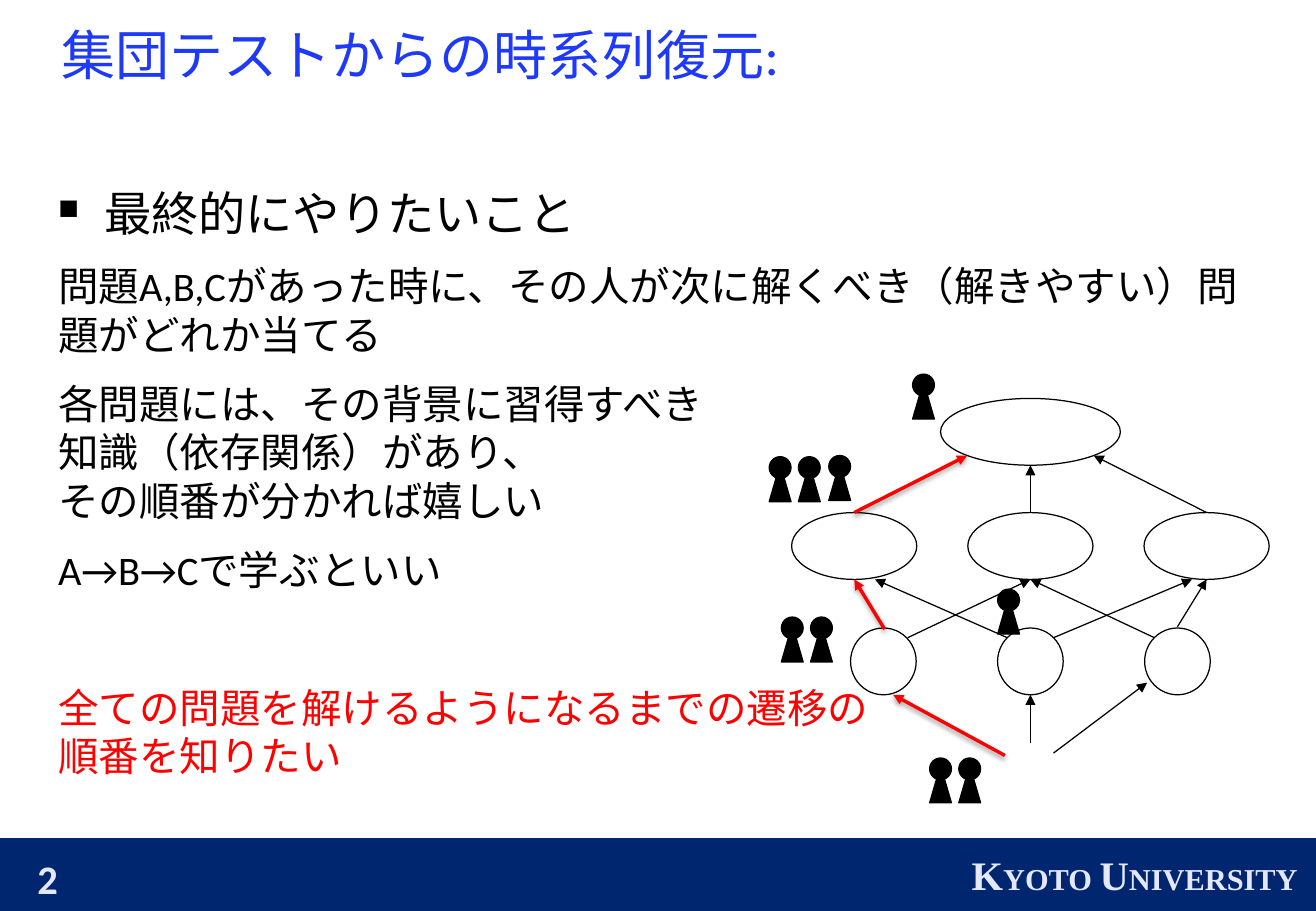
"""Build the slide on recovering a learning order from group tests."""
from lxml.etree import SubElement
from pptx import Presentation
from pptx.dml.color import RGBColor
from pptx.enum.shapes import MSO_CONNECTOR as Connector, MSO_SHAPE as Shape
from pptx.enum.text import MSO_ANCHOR as Anchor, PP_ALIGN as Align
from pptx.oxml.ns import qn
from pptx.util import Inches, Pt

BLACK = RGBColor(0, 0, 0)
WHITE = RGBColor(255, 255, 255)
RED = RGBColor(255, 0, 0)
NAVY = RGBColor(0x00, 0x26, 0x6F)
TITLE_BLUE = RGBColor(0x1E, 0x3A, 0xF8)
PALE = RGBColor(0xE4, 0xE7, 0xFE)

TITLE = "集団テストからの時系列復元:"
HEADING = "最終的にやりたいこと"
BODY = [
    (["問題A,B,Cがあった時に、その人が次に解くべき（解きやすい）問題がどれか当てる"], BLACK, 8.4),
    (["各問題には、その背景に習得すべき", "知識（依存関係）があり、", "その順番が分かれば嬉しい"], BLACK, 8.4),
    (["A→B→Cで学ぶといい"], BLACK, 8.4),
    (["全ての問題を解けるようになるまでの遷移の", "順番を知りたい"], RED, 49.2),
]
UNIVERSITY = [("K", 24), ("YOTO ", 18), ("U", 24), ("NIVERSITY", 18)]

CENTER_X = 8.48
NODE_HEIGHT = 0.55
NODE_ROWS = [
    (3.28, 1.48, [0]),
    (4.22, 1.03, [-1.45, 0, 1.45]),
    (5.17, 0.54, [-1.21, 0, 1.21]),
]
THIN_ARROWS = [
    (8.48, 6.12, 8.48, 5.72), (8.67, 6.2, 9.44, 5.62),
    (8.29, 5.25, 7.2, 4.77), (8.48, 4.22, 8.48, 3.83),
    (9.69, 5.16, 9.93, 4.77), (8.67, 5.25, 9.81, 4.77),
    (7.47, 5.25, 8.48, 4.77), (9.5, 5.25, 8.48, 4.77),
    (9.93, 4.22, 9, 3.75),
]
RED_PATH = [(8.27, 6.22, 7.35, 5.72), (7.28, 5.18, 7.03, 4.77), (7.03, 4.22, 7.96, 3.75)]
PEOPLE = [
    (7.51, 3.08), (6.33, 3.76), (6.57, 3.76), (6.82, 3.75), (6.43, 5.08),
    (6.67, 5.08), (8.21, 4.85), (7.65, 6.24), (7.89, 6.24),
]

deck = Presentation()
deck.slide_width, deck.slide_height = Inches(10.83), Inches(7.5)
page = deck.slides.add_slide(deck.slide_layouts[6])


def add_figure(kind, left, top, width, height, fill=None, line=BLACK):
    figure = page.shapes.add_shape(kind, Inches(left), Inches(top), Inches(width), Inches(height))
    figure.shadow.inherit = False
    if fill is None:
        figure.fill.background()
    else:
        figure.fill.solid()
        figure.fill.fore_color.rgb = fill
    if line is None:
        figure.line.fill.background()
    else:
        figure.line.color.rgb = line
        figure.line.width = Pt(0.75)


def add_line(ends, color, width, arrow=True, shadow=None):
    line = page.shapes.add_connector(Connector.STRAIGHT, *[Inches(value) for value in ends])
    line.line.color.rgb = color
    line.line.width = Pt(width)
    if arrow:
        SubElement(line.line._get_or_add_ln(), qn("a:tailEnd"), type="triangle")
    effects = SubElement(line._element.spPr, qn("a:effectLst"))
    if shadow:
        blur, distance, degrees, percent = shadow
        outer = SubElement(effects, qn("a:outerShdw"), blurRad=str(Pt(blur)), dist=str(Pt(distance)),
                           dir=str(degrees * 60000), rotWithShape="0")
        tint = SubElement(outer, qn("a:srgbClr"), val="000000")
        SubElement(tint, qn("a:alpha"), val=str(percent * 1000))


def add_text_box(left, top, width, height):
    frame = page.shapes.add_textbox(Inches(left), Inches(top), Inches(width), Inches(height)).text_frame
    frame.word_wrap = True
    return frame


def add_span(para, text, size, color, name="Calibri", bold=False):
    span = para.add_run()
    span.text = text
    span.font.size = Pt(size)
    span.font.name = name
    span.font.bold = bold
    span.font.color.rgb = color


add_line((0.22, 1.28, 10.53, 1.28), WHITE, 1, arrow=False, shadow=(4, 3, 45, 5))
add_figure(Shape.RECTANGLE, 0, 6.9, 10.83, 0.6, NAVY, None)
add_span(add_text_box(0.21, 6.98, 1.26, 0.35).paragraphs[0], "2", 24, PALE, bold=True)

footer = add_text_box(6.76, 7.04, 3.94, 0.34)
footer.vertical_anchor = Anchor.MIDDLE
footer.margin_left = footer.margin_right = footer.margin_top = footer.margin_bottom = Inches(0.02)
footer.paragraphs[0].alignment = Align.RIGHT
footer.paragraphs[0].line_spacing = 0.98
for text, size in UNIVERSITY:
    add_span(footer.paragraphs[0], text, size, PALE, "Times New Roman", True)

add_span(add_text_box(0.41, 0.13, 10.03, 1.1).paragraphs[0], TITLE, 32, TITLE_BLUE)

body = add_text_box(0.38, 1.47, 10.06, 5.2)
heading = body.paragraphs[0]
properties = heading._p.get_or_add_pPr()
properties.set("marL", str(Inches(0.38)))
properties.set("indent", str(-Inches(0.38)))
SubElement(properties, qn("a:buSzPct"), val="60000")
SubElement(properties, qn("a:buChar"), char="■")
heading.space_after = Pt(3.6)
add_span(heading, HEADING, 28, BLACK)
for lines, color, space in BODY:
    para = body.add_paragraph()
    para.space_before, para.space_after = Pt(space), Pt(3.6)
    for index, text in enumerate(lines):
        if index:
            para.add_line_break()
        add_span(para, text, 24, color)

for top, width, offsets in NODE_ROWS:
    for offset in offsets:
        add_figure(Shape.OVAL, CENTER_X + offset - width / 2, top, width, NODE_HEIGHT)
for ends in THIN_ARROWS:
    add_line(ends, BLACK, 0.75)
for ends in RED_PATH:
    add_line(ends, RED, 2, shadow=(3.1, 1.6, 90, 38))
for left, top in PEOPLE:
    add_figure(Shape.OVAL, left, top, 0.18, 0.18, BLACK)
    add_figure(Shape.ISOSCELES_TRIANGLE, left, top + 0.06, 0.18, 0.31, BLACK)

deck.save("out.pptx")
